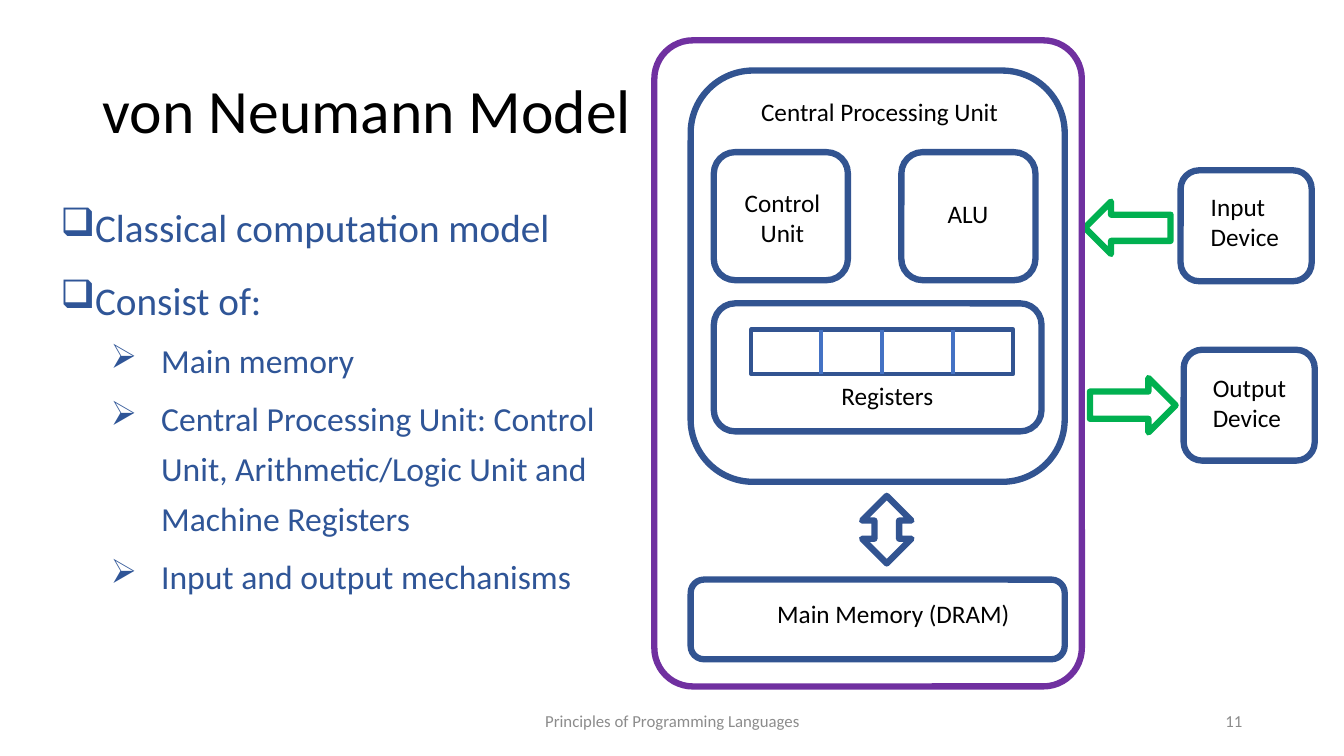
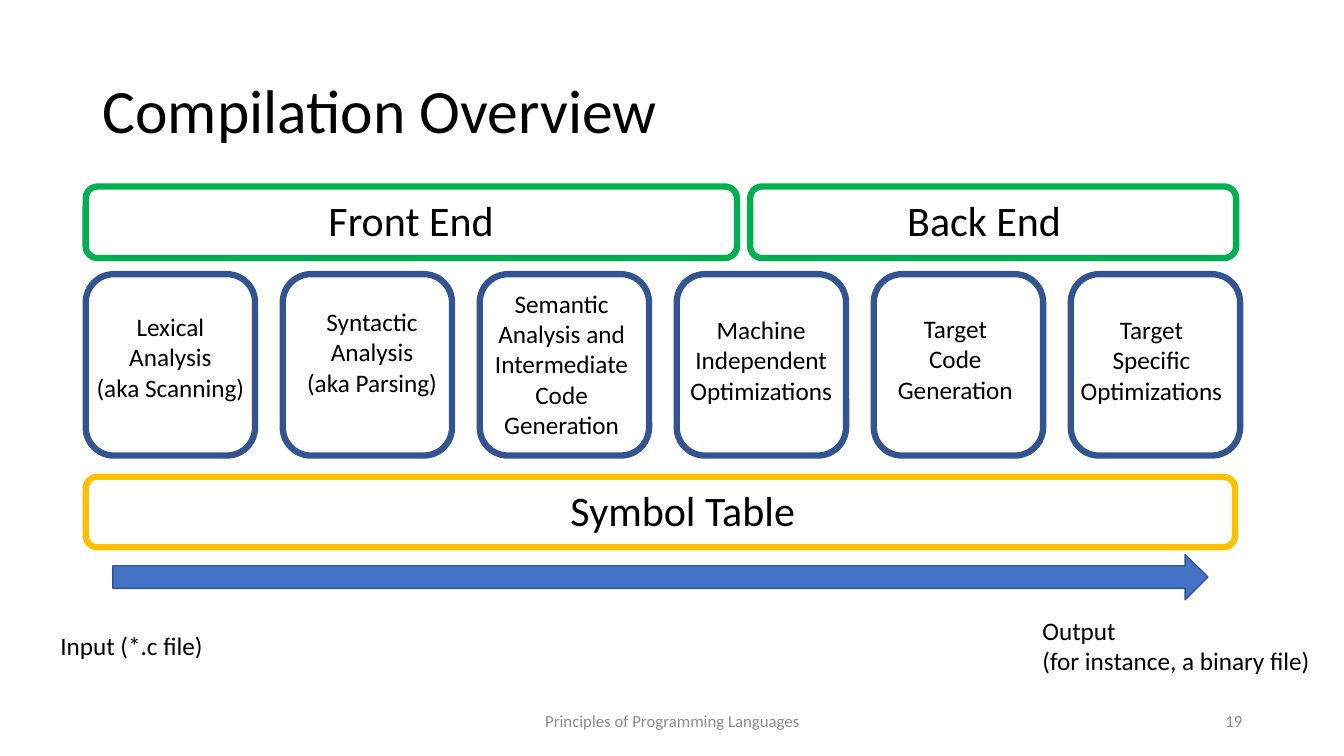
from lxml import etree
from pptx import Presentation
from pptx.dml.color import RGBColor
from pptx.enum import shapes, text
from pptx.oxml.ns import qn
from pptx.util import Inches, Pt

FONT = "Calibri"
BLACK, GREY = "000000", "8C8C8C"
NAVY, BLUE, TEXT_BLUE = "325491", "4472C4", "2F5597"
GREEN, PURPLE, AMBER = "00B050", "7030A0", "FFC000"

PRESET = shapes.MSO_SHAPE
ALIGN = text.PP_ALIGN
MIDDLE = text.MSO_ANCHOR.MIDDLE


def color(hex_string):
    return RGBColor.from_string(hex_string)


def style_font(paragraph, size, hex_string):
    paragraph.font.name = FONT
    paragraph.font.size = Pt(size)
    paragraph.font.color.rgb = color(hex_string)


def add_label(slide, box, content, size=18, ink=BLACK, align=ALIGN.LEFT,
              anchor=text.MSO_ANCHOR.TOP, wrap=False):
    """Text box with one paragraph for each line of content."""
    label = slide.shapes.add_textbox(*map(Inches, box))
    frame = label.text_frame
    frame.word_wrap = wrap
    frame.vertical_anchor = anchor
    frame.text = content
    for paragraph in frame.paragraphs:
        paragraph.alignment = align
        style_font(paragraph, size, ink)
    return label


def add_outline(slide, preset, box, line=NAVY, width=4.5, fill=None):
    shape = slide.shapes.add_shape(preset, *map(Inches, box))
    shape.shadow.inherit = False
    if fill:
        shape.fill.solid()
        shape.fill.fore_color.rgb = color(fill)
    else:
        shape.fill.background()
    shape.line.color.rgb = color(line)
    shape.line.width = Pt(width)
    return shape


def add_divider(slide, x, top, bottom):
    divider = slide.shapes.add_connector(
        shapes.MSO_CONNECTOR.STRAIGHT, *map(Inches, (x, top, x, bottom)))
    divider.line.color.rgb = color(BLUE)
    divider.line.width = Pt(3)
    etree.SubElement(divider._element.spPr, qn("a:effectLst"))
    return divider


def add_bullets(slide, box, items):
    """Bulleted list from (level, content) pairs."""
    # level: bullet, size, left margin, hanging indent, space before
    levels = [("❑", 28, 0.25, 0.25, 10), ("➢", 24, 1, 0.5, 5)]
    frame = slide.shapes.add_textbox(*map(Inches, box)).text_frame
    frame.word_wrap = True
    for index, (level, content) in enumerate(items):
        bullet, size, margin, hanging, before = levels[level]
        paragraph = frame.add_paragraph() if index else frame.paragraphs[0]
        paragraph.text = content
        paragraph.level = level
        paragraph.line_spacing = 1.25
        paragraph.space_before = Pt(before if index else 0)
        properties = paragraph._p.get_or_add_pPr()
        properties.set("marL", str(Inches(margin)))
        properties.set("indent", str(-Inches(hanging)))
        etree.SubElement(properties, qn("a:buChar")).set("char", bullet)
        style_font(paragraph, size, TEXT_BLUE)


def add_base_slide(presentation, title, number):
    """Blank slide with the shared title, footer and page number."""
    slide = presentation.slides.add_slide(presentation.slide_layouts[6])
    heading = add_label(slide, (0.92, 0.4, 11.5, 1.45), title, 44,
                        anchor=MIDDLE, wrap=True)
    heading.text_frame.paragraphs[0].line_spacing = 0.9
    add_label(slide, (4.42, 6.95, 4.5, 0.4),
              "Principles of Programming Languages", 12, GREY,
              ALIGN.CENTER, MIDDLE, True)
    add_label(slide, (9.42, 6.95, 3, 0.4), str(number), 12, GREY,
              ALIGN.RIGHT, MIDDLE, True)
    return slide


def build_von_neumann(presentation):
    slide = add_base_slide(presentation, "von Neumann Model", 11)
    add_bullets(slide, (0.5, 1.85, 5.57, 4.76), [
        (0, "Classical computation model"),
        (0, "Consist of:"),
        (1, "Main memory"),
        (1, "Central Processing Unit: Control Unit, "
            "Arithmetic/Logic Unit and Machine Registers"),
        (1, "Input and output mechanisms"),
    ])

    # Units: box, label box, label, label alignment
    units = [
        ((6.85, 0.7, 3.71, 4.08), (7.45, 0.91, 2.58, 0.4),
         "Central Processing Unit", ALIGN.LEFT),
        ((7.08, 1.51, 1.33, 1.27), (7.25, 1.81, 1.02, 0.71),
         "Control\nUnit", ALIGN.CENTER),
        ((8.94, 1.51, 1.33, 1.27), (9.3, 1.92, 0.61, 0.4),
         "ALU", ALIGN.LEFT),
        ((7.08, 3.01, 3.25, 1.27), (7.79, 3.72, 2.02, 0.4),
         "Registers", ALIGN.CENTER),
        ((6.85, 5.75, 3.71, 0.79), (7.61, 5.89, 2.53, 0.4),
         "Main Memory (DRAM)", ALIGN.LEFT),
        ((11.71, 1.69, 1.3, 1.1), (11.91, 1.85, 0.89, 0.71),
         "Input\nDevice", ALIGN.LEFT),
        ((11.74, 3.47, 1.3, 1.1), (11.93, 3.64, 0.99, 0.71),
         "Output\nDevice", ALIGN.LEFT),
    ]
    for box, label_box, content, align in units:
        add_outline(slide, PRESET.ROUNDED_RECTANGLE, box)
        add_label(slide, label_box, content, align=align)

    # Register cells
    top, height = 3.27, 0.44
    register_file = add_outline(slide, PRESET.RECTANGLE,
                                (7.45, top, 2.6, height), width=3)
    _, middle_divider, _ = [add_divider(slide, x, top, top + height)
                            for x in (8.14, 8.75, 9.45)]
    middle_divider.begin_connect(register_file, 0)
    middle_divider.end_connect(register_file, 2)

    # Data flow
    add_outline(slide, PRESET.UP_DOWN_ARROW, (8.55, 4.92, 0.49, 0.67))
    add_outline(slide, PRESET.LEFT_ARROW, (10.76, 2, 0.85, 0.52), GREEN)
    add_outline(slide, PRESET.RIGHT_ARROW, (10.81, 3.75, 0.85, 0.54), GREEN)

    # Computer enclosure
    enclosure = add_outline(slide, PRESET.ROUNDED_RECTANGLE,
                            (6.49, 0.4, 4.24, 6.41), PURPLE)
    enclosure.adjustments[0] = 0.09


def build_compilation(presentation):
    slide = add_base_slide(presentation, "Compilation Overview", 19)

    # Stages: label left, top, width, height, wrap, content
    stages = [
        (0.85, 3.04, 1.68, 1.01, False, "Lexical\nAnalysis\n(aka Scanning)"),
        (2.94, 2.99, 1.5, 1.01, False, "Syntactic\nAnalysis\n(aka Parsing)"),
        (4.8, 2.81, 1.54, 1.62, True,
         "Semantic\nAnalysis and\nIntermediate\nCode Generation"),
        (6.71, 3.07, 1.68, 1.01, True, "Machine Independent Optimizations"),
        (8.75, 3.06, 1.45, 1.01, True, "Target\nCode\nGeneration"),
        (10.58, 3.07, 1.68, 1.01, True, "Target\nSpecific\nOptimizations"),
    ]
    first_left, last_left = 0.85, 10.62
    pitch = (last_left - first_left) / (len(stages) - 1)
    for index, (*label_box, wrap, content) in enumerate(stages):
        add_outline(slide, PRESET.ROUNDED_RECTANGLE,
                    (first_left + index * pitch, 2.72, 1.68, 1.8))
        add_label(slide, label_box, content, align=ALIGN.CENTER, wrap=wrap)

    # Bands: box, line colour, label left, label width, content
    bands = [
        ((0.85, 1.85, 6.46, 0.71), GREEN, 3.16, 1.86, "Front End"),
        ((7.44, 1.85, 4.82, 0.71), GREEN, 8.9, 2.43, "Back End"),
        ((0.85, 4.73, 11.4, 0.7), AMBER, 5.56, 2.45, "Symbol Table"),
    ]
    for box, line, left, width, content in bands:
        add_outline(slide, PRESET.ROUNDED_RECTANGLE, box, line)
        add_label(slide, (left, box[1] + 0.03, width, 0.61), content, 30,
                  wrap=True)

    # Input to output
    add_outline(slide, PRESET.RIGHT_ARROW, (1.12, 5.5, 10.86, 0.45),
                width=1, fill=BLUE)
    add_label(slide, (0.5, 6.2, 1.63, 0.4), "Input (*.c file)")
    add_label(slide, (10.24, 6.05, 2.89, 0.71),
              "Output\n(for instance, a binary file)")


def main():
    presentation = Presentation()
    presentation.slide_width = Inches(13.33)
    presentation.slide_height = Inches(7.5)
    build_von_neumann(presentation)
    build_compilation(presentation)
    presentation.save("out.pptx")


if __name__ == "__main__":
    main()
